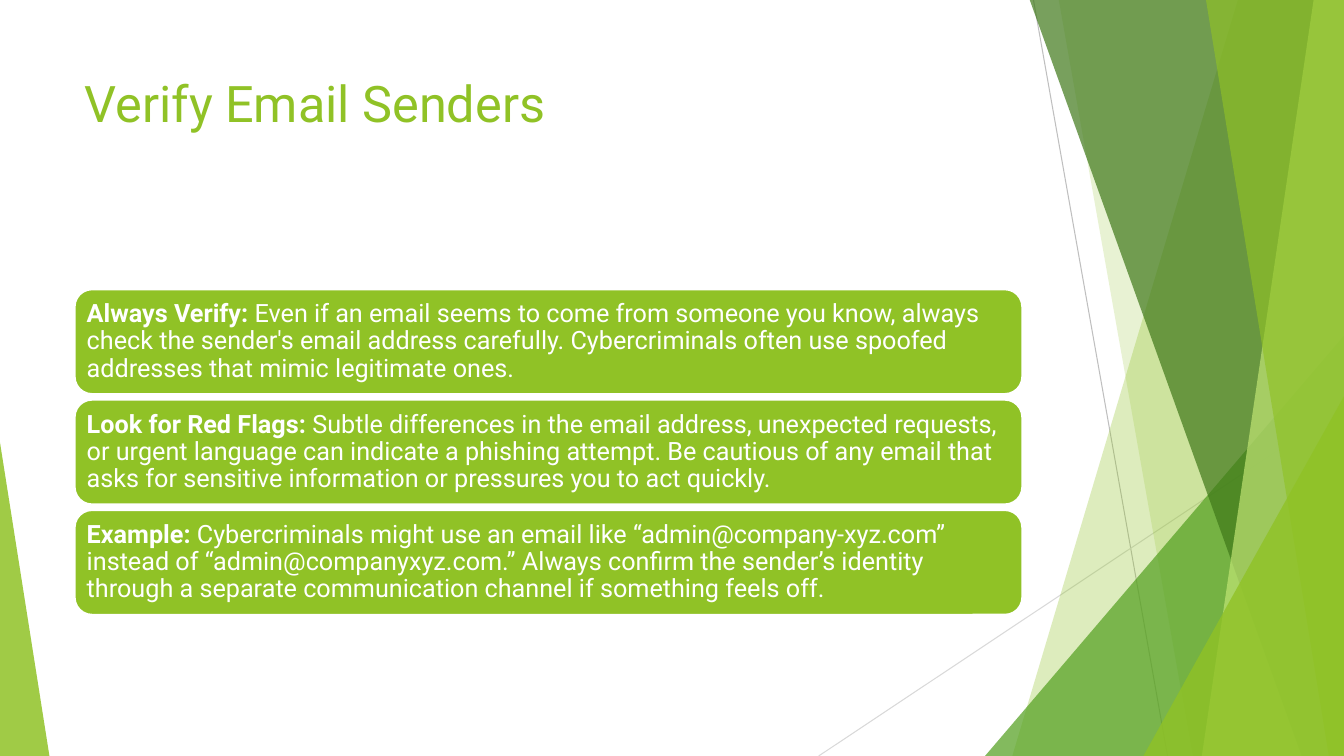
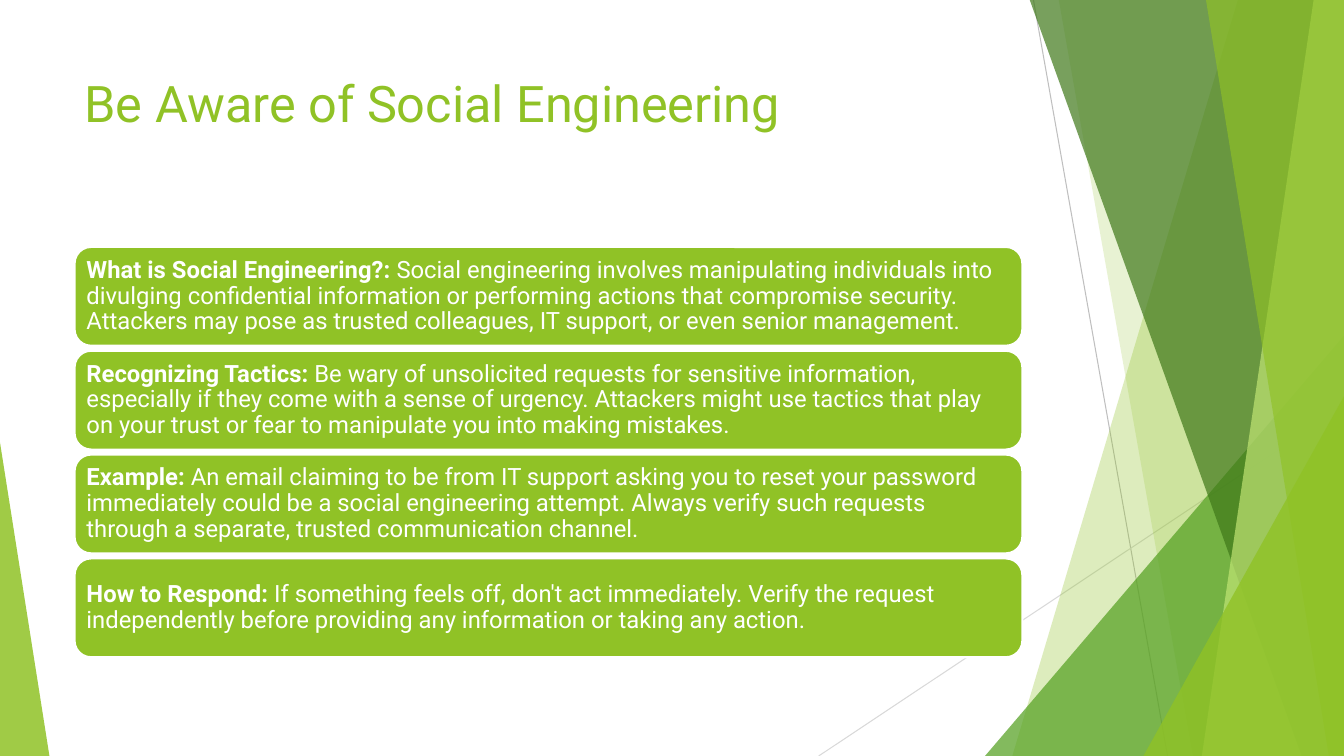
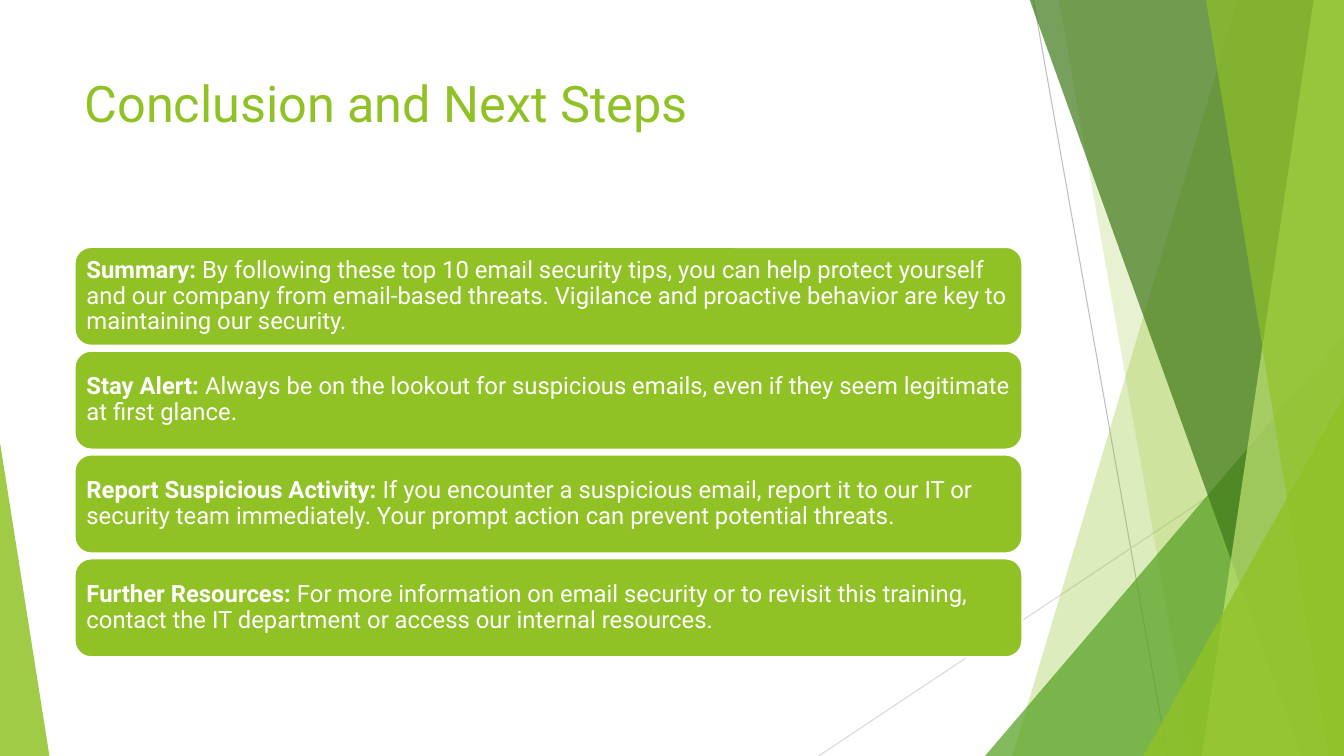
from lxml.etree import SubElement
from pptx import Presentation
from pptx.dml.color import RGBColor
from pptx.enum.shapes import MSO_CONNECTOR, MSO_SHAPE
from pptx.enum.text import MSO_ANCHOR, PP_ALIGN
from pptx.oxml.ns import qn
from pptx.util import Pt

PX = 9144
PAGE_WIDTH, PAGE_HEIGHT = 1333, 750
FONT = "Roboto"

WHITE = RGBColor(0xFF, 0xFF, 0xFF)
LIME = RGBColor(0x90, 0xC2, 0x26)
PALE_LIME = RGBColor(0xC0, 0xE4, 0x74)
GREEN = RGBColor(0x54, 0xA0, 0x21)
DARK_GREEN = RGBColor(0x3F, 0x78, 0x19)
GREY = RGBColor(0xBF, 0xBF, 0xBF)
LIGHT_GREY = RGBColor(0xD9, 0xD9, 0xD9)

TITLE_BOX = (74, 67, 940, 144)
THREE_CARDS = (74, 287, 940, 323)
FOUR_CARDS = (74, 245, 940, 407)

HAIRLINES = [
    (1025, 0, 1158, 750, GREY),
    (1333, 403, 812, 750, LIGHT_GREY),
]
FACETS = [
    ("band", (1228, 1004), LIME, 30),
    ("band", (1050, 1183), LIME, 20),
    ("triangle", (977, 333, 356, 417, 1), GREEN, 72),
    ("band", (1021, 1291), DARK_GREEN, 70),
    ("band", (1303, 1192), PALE_LIME, 70),
    ("band", (1196, 1318), LIME, 65),
    ("triangle", (1134, 393, 199, 357, 1), LIME, 80),
    ("triangle", (0, 439, 49, 311, 0), LIME, 85),
]

SLIDES = [
    ("Verify Email Senders", THREE_CARDS, 104, 18, [
        ("Always Verify:", " Even if an email seems to come from someone you know, always check the sender's email address carefully. Cybercriminals often use spoofed addresses that mimic legitimate ones."),
        ("Look for Red Flags:", " Subtle differences in the email address, unexpected requests, or urgent language can indicate a phishing attempt. Be cautious of any email that asks for sensitive information or pressures you to act quickly."),
        ("Example:", " Cybercriminals might use an email like “admin@company-xyz.com” instead of “admin@companyxyz.com.” Always confirm the sender’s identity through a separate communication channel if something feels off."),
    ]),
    ("Be Aware of Social Engineering", FOUR_CARDS, 98, 17, [
        ("What is Social Engineering?:", " Social engineering involves manipulating individuals into divulging confidential information or performing actions that compromise security. Attackers may pose as trusted colleagues, IT support, or even senior management."),
        ("Recognizing Tactics:", " Be wary of unsolicited requests for sensitive information, especially if they come with a sense of urgency. Attackers might use tactics that play on your trust or fear to manipulate you into making mistakes."),
        ("Example:", " An email claiming to be from IT support asking you to reset your password immediately could be a social engineering attempt. Always verify such requests through a separate, trusted communication channel."),
        ("How to Respond:", " If something feels off, don't act immediately. Verify the request independently before providing any information or taking any action."),
    ]),
    ("Conclusion and Next Steps", FOUR_CARDS, 98, 17, [
        ("Summary:", " By following these top 10 email security tips, you can help protect yourself and our company from email-based threats. Vigilance and proactive behavior are key to maintaining our security."),
        ("Stay Alert:", " Always be on the lookout for suspicious emails, even if they seem legitimate at first glance."),
        ("Report Suspicious Activity:", " If you encounter a suspicious email, report it to our IT or security team immediately. Your prompt action can prevent potential threats."),
        ("Further Resources:", " For more information on email security or to revisit this training, contact the IT department or access our internal resources."),
    ]),
]


def emu(*lengths):
    """Turn px lengths into whole EMU."""
    return [round(length * PX) for length in lengths]


def add_span(para, text, size, color, bold=False):
    """Append one formatted run to a paragraph."""
    span = para.add_run()
    span.text = text
    span.font.name = FONT
    span.font.size = Pt(size)
    span.font.bold = bold
    span.font.color.rgb = color


def fill_facet(shape, color, opacity):
    """Give a shape a translucent fill without line or shadow."""
    shape.shadow.inherit = False
    shape.line.fill.background()
    shape.fill.solid()
    shape.fill.fore_color.rgb = color
    tint = shape.fill._xPr.find(qn("a:solidFill"))[0]
    SubElement(tint, qn("a:alpha")).set("val", str(opacity * 1000))


def add_band(page, top_left, bottom_left):
    """Draw a full-height band that runs to the right edge of the page."""
    builder = page.shapes.build_freeform(top_left, -1, scale=PX)
    builder.add_line_segments([
        (PAGE_WIDTH, -1), (PAGE_WIDTH, PAGE_HEIGHT), (bottom_left, PAGE_HEIGHT),
    ])
    return builder.convert_to_shape()


def add_triangle(page, left, top, width, height, apex):
    """Draw a triangle whose apex lies at a fraction of its width."""
    shape = page.shapes.add_shape(
        MSO_SHAPE.ISOSCELES_TRIANGLE, *emu(left, top, width, height))
    shape.adjustments[0] = apex
    return shape


def add_backdrop(page):
    """Draw the hairlines and green facets shared by all slides."""
    for *ends, color in HAIRLINES:
        line = page.shapes.add_connector(MSO_CONNECTOR.STRAIGHT, *emu(*ends))
        line.line.color.rgb = color
        line.line.width = Pt(0.75)
        SubElement(line._element.spPr, qn("a:effectLst"))
    makers = {"band": add_band, "triangle": add_triangle}
    for kind, geometry, color, opacity in FACETS:
        fill_facet(makers[kind](page, *geometry), color, opacity)


def add_title(page, box, text):
    """Place the slide title in its box."""
    frame = page.shapes.add_textbox(*emu(*box)).text_frame
    frame.word_wrap = True
    add_span(frame.paragraphs[0], text, 36, LIME)


def add_card(page, box, size, label, text):
    """Draw one rounded card with a bold label and its text."""
    card = page.shapes.add_shape(MSO_SHAPE.ROUNDED_RECTANGLE, *emu(*box))
    card.shadow.inherit = False
    card.fill.solid()
    card.fill.fore_color.rgb = LIME
    card.line.color.rgb = WHITE
    card.line.width = Pt(1.5)
    frame = card.text_frame
    frame.word_wrap = True
    frame.vertical_anchor = MSO_ANCHOR.MIDDLE
    (frame.margin_left, frame.margin_top,
     frame.margin_right, frame.margin_bottom) = emu(7, 7, 6, 7)
    para = frame.paragraphs[0]
    para.alignment = PP_ALIGN.LEFT
    para.line_spacing = 0.9
    add_span(para, label, size, WHITE, bold=True)
    add_span(para, text, size, WHITE)


def add_card_stack(page, box, card_height, size, cards):
    """Spread cards evenly from the top to the bottom of the box."""
    left, top, width, height = box
    pitch = (height - card_height) / (len(cards) - 1)
    for index, (label, text) in enumerate(cards):
        card_box = (left, top + index * pitch, width, card_height)
        add_card(page, card_box, size, label, text)


def main():
    """Build the deck and save it."""
    deck = Presentation()
    deck.slide_width, deck.slide_height = emu(PAGE_WIDTH, PAGE_HEIGHT)
    for title, box, card_height, size, cards in SLIDES:
        page = deck.slides.add_slide(deck.slide_layouts[6])
        add_backdrop(page)
        add_title(page, TITLE_BOX, title)
        add_card_stack(page, box, card_height, size, cards)
    deck.save("out.pptx")


if __name__ == "__main__":
    main()
